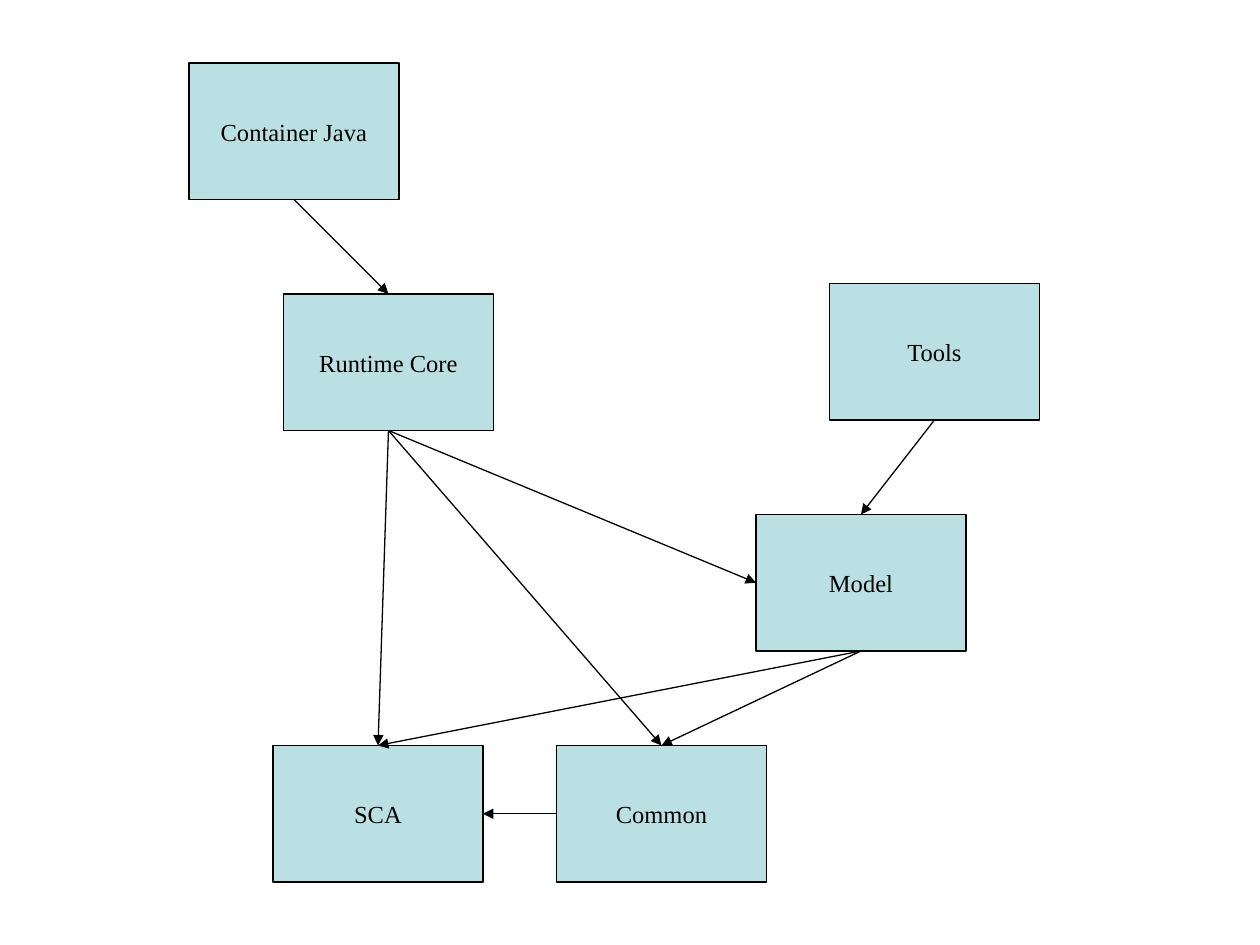
from pptx import Presentation
from pptx.dml.color import RGBColor
from pptx.enum.shapes import MSO_CONNECTOR, MSO_SHAPE
from pptx.enum.text import MSO_ANCHOR, PP_ALIGN
from pptx.oxml.ns import qn
from pptx.util import Inches, Pt
from lxml.etree import SubElement

BLACK = RGBColor(0x00, 0x00, 0x00)
PALE_TEAL = RGBColor(0xBB, 0xE0, 0xE3)

# Connection sites of a rectangle
TOP, LEFT, BOTTOM, RIGHT = range(4)

# Name: column and row of the top left corner
MODULES = {
    "Runtime Core": (27, 28),
    "SCA": (26, 71),
    "Common": (53, 71),
    "Model": (72, 49),
    "Tools": (79, 27),
    "Container Java": (18, 6),
}

DEPENDENCIES = [
    ("Runtime Core", BOTTOM, "SCA", TOP),
    ("Runtime Core", BOTTOM, "Common", TOP),
    ("Runtime Core", BOTTOM, "Model", LEFT),
    ("Model", BOTTOM, "Common", TOP),
    ("Tools", BOTTOM, "Model", TOP),
    ("Model", BOTTOM, "SCA", TOP),
    ("Common", LEFT, "SCA", RIGHT),
    ("Container Java", BOTTOM, "Runtime Core", TOP),
]


class Diagram:
    """Draws modules and arrows on a grid of 120 columns by 90 rows."""

    CELL = Inches(1) / 12
    BOX_COLS, BOX_ROWS = 20, 13
    FONT, FONT_SIZE = "Times New Roman", Pt(14)
    LINE_WIDTH = Pt(0.75)

    def __init__(self, slide):
        self.slide = slide

    def outline(self, line):
        line.color.rgb = BLACK
        line.width = self.LINE_WIDTH

    def module(self, name, col, row):
        cells = (col, row, self.BOX_COLS, self.BOX_ROWS)
        sp = self.slide.shapes.add_shape(
            MSO_SHAPE.RECTANGLE, *(round(n * self.CELL) for n in cells))
        sp.shadow.inherit = False
        sp.fill.solid()
        sp.fill.fore_color.rgb = PALE_TEAL
        self.outline(sp.line)
        tf = sp.text_frame
        tf.word_wrap = False
        tf.vertical_anchor = MSO_ANCHOR.MIDDLE
        p = tf.paragraphs[0]
        p.text = name
        p.alignment = PP_ALIGN.CENTER
        p.font.name = self.FONT
        p.font.size = self.FONT_SIZE
        p.font.color.rgb = BLACK
        return sp

    def arrow(self, start, start_site, end, end_site):
        line = self.slide.shapes.add_connector(MSO_CONNECTOR.STRAIGHT, 0, 0, 0, 0)
        line.begin_connect(start, start_site)
        line.end_connect(end, end_site)
        self.outline(line.line)
        props = line._element.spPr
        SubElement(props.find(qn("a:ln")), qn("a:tailEnd"), type="triangle")
        SubElement(props, qn("a:effectLst"))


def main():
    prs = Presentation()
    prs.slide_width, prs.slide_height = Inches(10), Inches(7.5)
    diagram = Diagram(prs.slides.add_slide(prs.slide_layouts[6]))
    boxes = {name: diagram.module(name, *corner) for name, corner in MODULES.items()}
    for start, start_site, end, end_site in DEPENDENCIES:
        diagram.arrow(boxes[start], start_site, boxes[end], end_site)
    prs.save("out.pptx")


if __name__ == "__main__":
    main()
